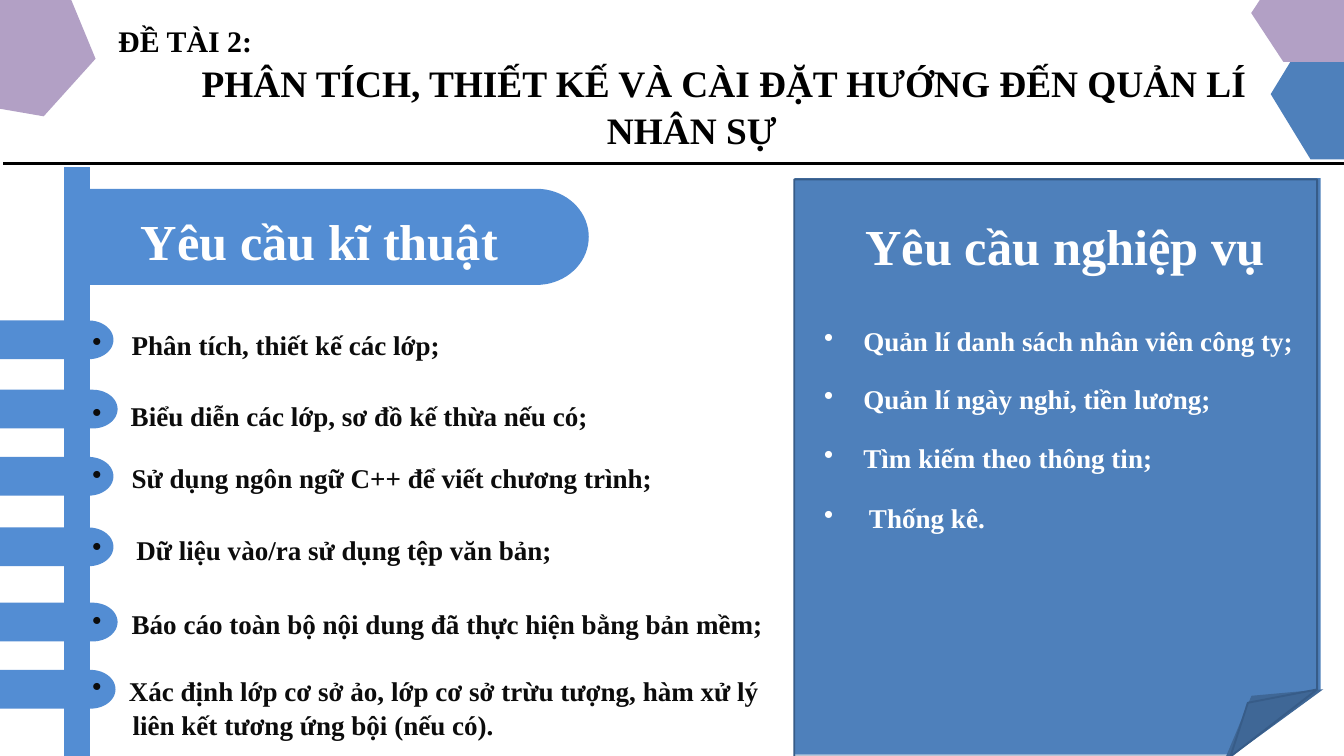
import math
from typing import NamedTuple

import pptx
import pptx.dml.color
import pptx.enum.shapes
import pptx.enum.text
import pptx.oxml.ns
import pptx.util
from lxml import etree

Pt = pptx.util.Pt
qn = pptx.oxml.ns.qn
ALIGN = pptx.enum.text.PP_ALIGN
FONT = "Times New Roman"
BLUE, PANEL, FOLD, EDGE = "538DD3", "4E80BB", "3F6796", "375C88"
LILAC, INK, BLACK, WHITE = "B2A0C5", "0C0C0C", "000000", "FFFFFF"


class Pill(NamedTuple):
    left: float
    top: float
    width: float = 127.4
    height: float = 41.5
    curve: float = 26.6


class Hexa(NamedTuple):
    left: float
    top: float
    width: float
    height: float
    color: str
    turn: float = 0


class Item(NamedTuple):
    top: float
    text: str
    gap: float = 44


PILLS = [
    Pill(85, 202.3, 545.8, 103, 56),
    Pill(-5.8, 343.4),
    Pill(-1.4, 417.6),
    Pill(-5.8, 489.6),
    Pill(-5.8, 565.2),
    Pill(-1.4, 645.8),
    Pill(-3.6, 717.8),
]
HEXAS = [
    Hexa(1361.5, 31, 170.6, 139.7, PANEL),
    Hexa(-73.4, -22.3, 177.1, 140.4, LILAC, 9.8),
    Hexa(1340.6, -38.2, 137.5, 104.4, LILAC),
]
SKILLS = [
    Item(347, "Phân tích, thiết kế các lớp;"),
    Item(422.6, "Biểu diễn các lớp, sơ đồ kế thừa nếu có;", 43),
    Item(489, "Sử dụng ngôn ngữ C++ để viết chương trình;"),
    Item(566.6, "Dữ liệu vào/ra sử dụng tệp văn bản;", 49),
    Item(646, "Báo cáo toàn bộ nội dung đã thực hiện bằng bản mềm;"),
    Item(717, "Xác định lớp cơ sở ảo, lớp cơ sở trừu tượng, hàm xử lý\n"
              "liên kết tương ứng bội (nếu có).", 41),
]
TASKS = [
    Item(342.7, "Quản lí danh sách nhân viên công ty;"),
    Item(404.6, "Quản lí ngày nghỉ, tiền lương;"),
    Item(468, "Tìm kiếm theo thông tin;"),
    Item(532, "Thống kê.", 50),
]


def rgb(code: str) -> pptx.dml.color.RGBColor:
    return pptx.dml.color.RGBColor.from_string(code)


def outline(slide, points: list, color: str, closed: bool = True):
    """Draw a filled polygon, or an open line 2 pt wide."""
    pen = slide.shapes.build_freeform(
        round(points[0][0] * 100), round(points[0][1] * 100), scale=Pt(1) / 100)
    pen.add_line_segments(
        [(round(x * 100), round(y * 100)) for x, y in points[1:]], close=closed)
    shape = pen.convert_to_shape()
    shape.shadow.inherit = False
    if closed:
        shape.fill.solid()
        shape.fill.fore_color.rgb = rgb(color)
        shape.line.fill.background()
    else:
        shape.fill.background()
        shape.line.color.rgb = rgb(color)
        shape.line.width = Pt(2)
    return shape


def draw_pill(slide, pill: Pill) -> None:
    mid = pill.left + pill.width - pill.curve
    half = pill.height / 2
    arc = [(mid + pill.curve * math.cos(math.radians(a)),
            pill.top + half + half * math.sin(math.radians(a)))
           for a in range(-90, 91, 5)]
    ends = [(pill.left, pill.top + pill.height), (pill.left, pill.top)]
    outline(slide, arc + ends, BLUE)


def draw_hexa(slide, hexa: Hexa) -> None:
    steps = [(1, .5), (.75, 1), (.25, 1), (0, .5), (.25, 0), (.75, 0)]
    points = [(hexa.left + hexa.width * x, hexa.top + hexa.height * y)
              for x, y in steps]
    outline(slide, points, hexa.color).rotation = hexa.turn


def add_box(slide, left: float, top: float, width: float, height: float,
            inset: bool = False):
    frame = slide.shapes.add_textbox(
        Pt(left), Pt(top), Pt(width), Pt(height)).text_frame
    frame.word_wrap = True
    if not inset:
        frame.margin_left = frame.margin_right = 0
        frame.margin_top = frame.margin_bottom = 0
    return frame


def style(para, size: float, color: str) -> None:
    para.line_spacing = 1.05
    for run in para.runs:
        run.font.name = FONT
        run.font.size = Pt(size)
        run.font.bold = True
        run.font.color.rgb = rgb(color)


def indent(para, left: float, first: float) -> None:
    props = para._p.get_or_add_pPr()
    props.set("marL", str(Pt(left)))
    props.set("indent", str(Pt(first)))


def draw_item(slide, item: Item, left: float, width: float, color: str) -> None:
    lines = item.text.count("\n") + 1
    frame = add_box(slide, left, item.top, width, 7.2 + 35.3 * lines, True)
    frame.text = item.text
    for para in frame.paragraphs:
        style(para, 29, color)
        indent(para, 45, 0)
    head = frame.paragraphs[0]
    indent(head, item.gap, 2 - item.gap)
    bullet = etree.SubElement(head._p.pPr, qn("a:buChar"))
    bullet.set("char", "•")


def draw_head(slide, text: str, left: float, top: float, width: float) -> None:
    frame = add_box(slide, left, top, width, 65)
    frame.text = text
    style(frame.paragraphs[0], 54, WHITE)


def main() -> None:
    deck = pptx.Presentation()
    deck.slide_width, deck.slide_height = Pt(1440), Pt(810)
    slide = deck.slides.add_slide(deck.slide_layouts[6])

    # Rule under the title
    rule = slide.shapes.add_connector(
        pptx.enum.shapes.MSO_CONNECTOR.STRAIGHT, Pt(3.6), Pt(175), Pt(1440), Pt(175))
    rule.line.color.rgb = rgb(BLACK)
    rule.line.width = Pt(3.75)
    etree.SubElement(rule._element.spPr, qn("a:effectLst"))

    # Note panel with a folded corner
    outline(slide, [(852, 191), (1415, 191), (1415, 740), (1320.5, 808.5),
                    (852, 808.5)], PANEL)
    fold = [(1317.6, 824.4), (1336.3, 749.5), (1411.2, 730.8)]
    outline(slide, fold, FOLD).rotation = 8.8
    outline(slide, [(1318.3, 810.7), (1337, 753), (1411.2, 738.7), (1318.3, 810.7),
                    (851, 810.7), (851, 192.2), (1411.2, 192.2), (1411.2, 738.7)],
            EDGE, closed=False)

    # Title
    frame = add_box(slide, 126.7, 22, 1229, 169)
    frame.text = ("ĐỀ TÀI 2:\n"
                  "PHÂN TÍCH, THIẾT KẾ VÀ CÀI ĐẶT HƯỚNG ĐẾN QUẢN LÍ NHÂN SỰ")
    topic, title = frame.paragraphs
    style(topic, 32, BLACK)
    style(title, 40, BLACK)
    title.alignment = ALIGN.CENTER
    indent(title, 0, 69)

    # Spine and pills
    outline(slide, [(68.6, 179.3), (96.2, 179.3), (96.2, 819), (68.6, 819)], BLUE)
    for pill in PILLS:
        draw_pill(slide, pill)

    # Headings and lists
    draw_head(slide, "Yêu cầu kĩ thuật", 151, 222, 419)
    draw_head(slide, "Yêu cầu nghiệp vụ", 927.4, 227, 428.4)
    for item in SKILLS:
        draw_item(slide, item, 90, 740, INK)
    for item in TASKS:
        draw_item(slide, item, 874, 537, WHITE)

    # Corner hexagons
    for hexa in HEXAS:
        draw_hexa(slide, hexa)

    deck.save("out.pptx")


if __name__ == "__main__":
    main()
